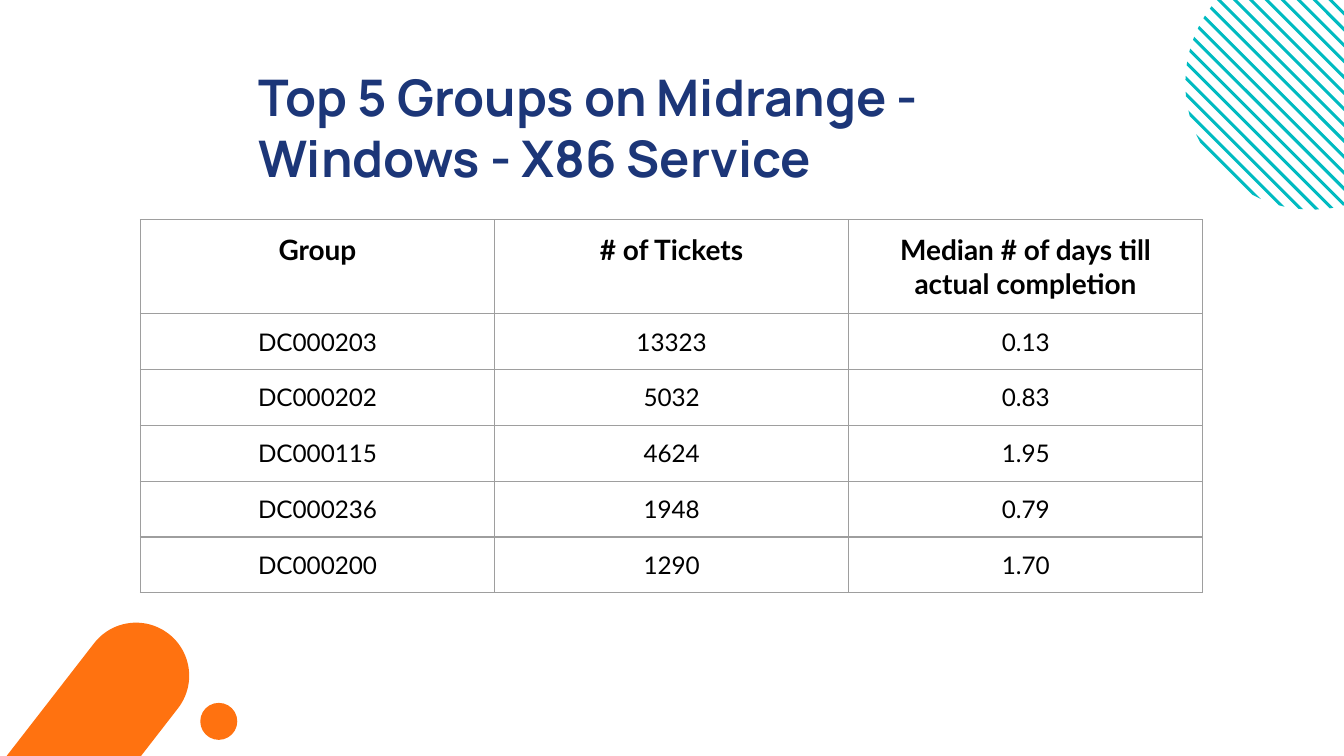
from math import sqrt

from lxml.etree import SubElement
from pptx import Presentation
from pptx.dml.color import RGBColor
from pptx.enum.shapes import MSO_SHAPE as Shape
from pptx.enum.text import MSO_ANCHOR as Anchor, MSO_AUTO_SIZE as AutoSize, PP_ALIGN as Align
from pptx.oxml.ns import qn
from pptx.util import Pt

PX = 4572  # EMU per px, 200 px to the inch
TEAL = RGBColor(0x00, 0xBB, 0xC1)
ORANGE = RGBColor(0xFF, 0x72, 0x10)
NAVY = RGBColor(0x1C, 0x36, 0x78)
BLACK = RGBColor(0x00, 0x00, 0x00)
GREY = RGBColor(0x9E, 0x9E, 0x9E)

TITLE = "Top 5 Groups on Midrange - Windows - X86 Service"
HEADER = ("Group", "# of Tickets", "Median # of days till actual completion")
GROUPS = (
    ("DC000203", "13323", "0.13"),
    ("DC000202", "5032", "0.83"),
    ("DC000115", "4624", "1.95"),
    ("DC000236", "1948", "0.79"),
    ("DC000200", "1290", "1.70"),
)


def emu(*lengths):
    return [round(length * PX) for length in lengths]


def paint(shape, color):
    shape.shadow.inherit = False
    shape.fill.solid()
    shape.fill.fore_color.rgb = color
    shape.line.fill.background()


def add_striped_disc(page, left, top, size):
    """Fill a circle with diagonal stripes, from the page's corner downwards."""
    radius = size / 2
    center_x, center_y = left + radius, top + radius
    first, step, half_width, count = 152, 23.7, 3.2, 18

    def chord(offset):
        """Both ends of the chord on which x - y equals the offset."""
        reach = sqrt(2 * radius ** 2 - offset ** 2)
        return [(center_x + (offset + way * reach) / 2,
                 center_y + (way * reach - offset) / 2) for way in (-1, 1)]

    for index in range(count):
        middle = first - step * index
        upper = chord(middle + half_width)
        lower = chord(middle - half_width)
        start, *others = [emu(*point) for point in upper + lower[::-1]]
        builder = page.shapes.build_freeform(*start)
        builder.add_line_segments(others, close=True)
        paint(builder.convert_to_shape(), TEAL)


def add_capsule_and_dot(page, left, top):
    capsule = page.shapes.add_shape(
        Shape.ROUNDED_RECTANGLE, *emu(left, top, 1184, 158))
    capsule.adjustments[0] = 0.5
    capsule.rotation = 307.8
    dot = page.shapes.add_shape(
        Shape.OVAL, *emu(left + 1002, top - 286, 55, 55))
    for shape in (capsule, dot):
        paint(shape, ORANGE)


def set_margins(holder, left, top, right, bottom):
    (holder.margin_left, holder.margin_top,
     holder.margin_right, holder.margin_bottom) = emu(left, top, right, bottom)


def set_title(page, left, top, width, height):
    title = page.shapes.title
    title.left, title.top, title.width, title.height = emu(left, top, width, height)
    frame = title.text_frame
    frame.text = TITLE
    frame.word_wrap = True
    frame.auto_size = AutoSize.NONE
    frame.vertical_anchor = Anchor.TOP
    set_margins(frame, 20, 20, 20, 20)
    para = frame.paragraphs[0]
    para.alignment = Align.LEFT
    font = para.font
    font.name, font.size, font.bold = "Manrope", Pt(27), True
    font.color.rgb = NAVY


def add_borders(cell):
    properties = cell._tc.get_or_add_tcPr()
    for index, side in enumerate(("a:lnL", "a:lnR", "a:lnT", "a:lnB")):
        line = SubElement(properties, qn(side), w=str(Pt(0.75)))
        fill = SubElement(line, qn("a:solidFill"))
        SubElement(fill, qn("a:srgbClr"), val=str(GREY))
        properties.insert(index, line)


def format_cell(cell, text, is_header, spacing):
    margin = 20 if is_header else 2
    set_margins(cell, margin, margin, margin, 20)
    cell.vertical_anchor = Anchor.TOP if is_header else Anchor.BOTTOM
    cell.fill.background()
    add_borders(cell)
    cell.text = text
    para = cell.text_frame.paragraphs[0]
    para.alignment = Align.CENTER
    para.line_spacing = spacing
    font = para.font
    font.name, font.size, font.bold = "Lato", Pt(15 if is_header else 13), is_header
    font.color.rgb = BLACK


def add_group_table(page, left, top, width, header_height, row_height):
    rows = (HEADER, *GROUPS)
    height = header_height + row_height * len(GROUPS)
    table = page.shapes.add_table(
        len(rows), len(HEADER), *emu(left, top, width, height)).table
    table.first_row = table.horz_banding = False
    for row_index, values in enumerate(rows):
        is_header = row_index == 0
        table.rows[row_index].height = emu(header_height if is_header else row_height)[0]
        for column, text in enumerate(values):
            spacing = 1.0 if is_header or column == 0 else 1.15
            format_cell(table.cell(row_index, column), text, is_header, spacing)


def main():
    deck = Presentation()
    deck.slide_width, deck.slide_height = emu(2000, 1125)
    page = deck.slides.add_slide(deck.slide_layouts[5])
    add_striped_disc(page, 1764, -64, 376)
    add_capsule_and_dot(page, -704, 1332)
    set_title(page, 365, 79, 1364, 152)
    add_group_table(page, 209, 327, 1581, 139, 83)
    deck.save("out.pptx")


if __name__ == "__main__":
    main()
